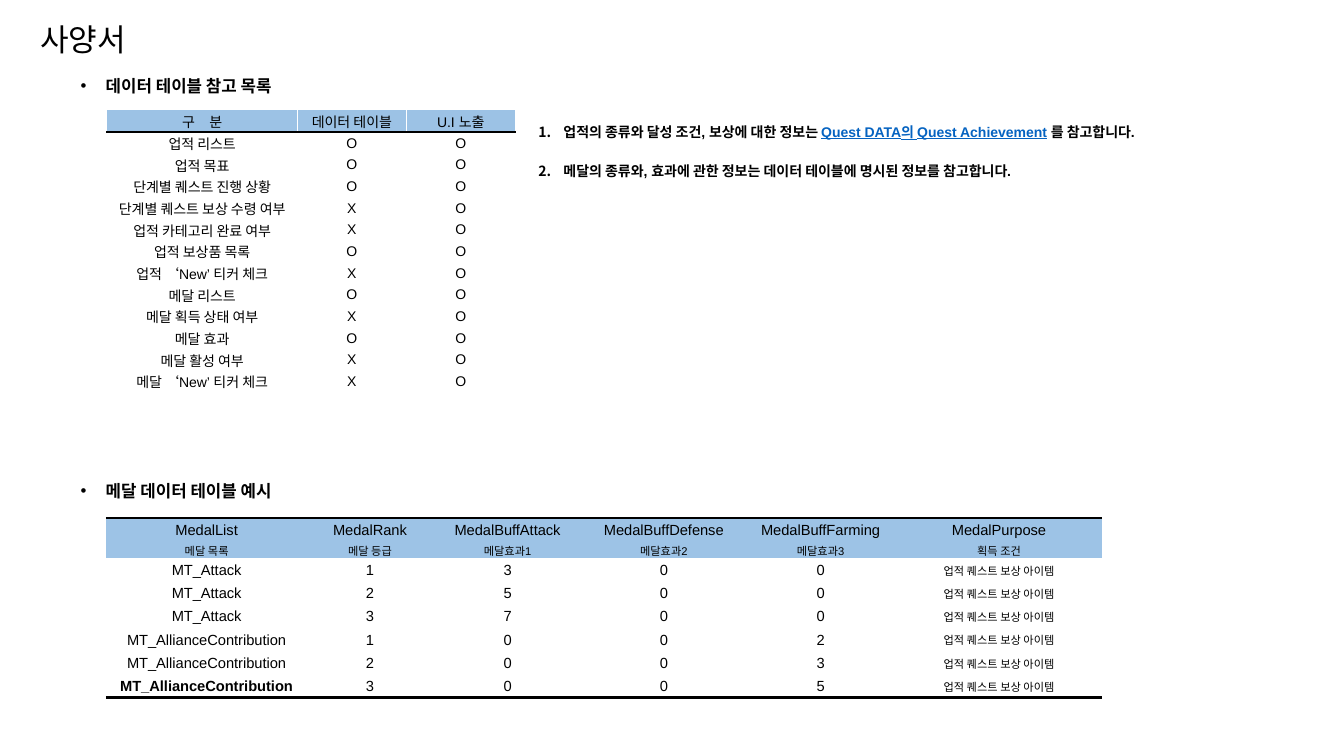
from lxml import etree
from pptx import Presentation
from pptx.dml.color import RGBColor
from pptx.enum.text import MSO_ANCHOR, PP_ALIGN
from pptx.oxml.ns import qn
from pptx.util import Inches, Pt

CENTER = PP_ALIGN.CENTER
MIDDLE = MSO_ANCHOR.MIDDLE
BLACK = RGBColor(0x00, 0x00, 0x00)
WHITE = RGBColor(0xFF, 0xFF, 0xFF)
LINK = RGBColor(0x05, 0x63, 0xC1)
SPEC_HEAD = RGBColor(0x9C, 0xC2, 0xE5)
MEDAL_HEAD = RGBColor(0x9D, 0xC3, 0xE6)

prs = Presentation()
prs.slide_width, prs.slide_height = Inches(13.33), Inches(7.5)
s = prs.slides.add_slide(prs.slide_layouts[6])


def add_run(p, text, **fmt):
    r = p.add_run()
    r.text = text
    r.font.color.rgb = fmt.pop("color", BLACK)
    for name, value in {"name": "Arial", "bold": False, **fmt}.items():
        setattr(r.font, name, value)
    return r


def add_grid(left, top, cols, rows, fills, edges):
    shape = s.shapes.add_table(len(rows), len(cols), Inches(left), Inches(top),
                               Inches(sum(cols)), Inches(sum(rows)))
    tbl = shape.table
    tbl.first_row = tbl.horz_banding = False
    for col, width in zip(tbl.columns, cols):
        col.width = Inches(width)
    for i, (row, height) in enumerate(zip(tbl.rows, rows)):
        row.height = Inches(height)
        for cell in row.cells:
            cell.margin_left = cell.margin_right = cell.margin_top = Inches(0.01)
            cell.margin_bottom = 0
            cell.vertical_anchor = MIDDLE
            cell.fill.solid()
            cell.fill.fore_color.rgb = fills[i]
            cell.text_frame.paragraphs[0].alignment = CENTER
            tcPr = cell._tc.get_or_add_tcPr()
            for k, side in enumerate("LRTB"):
                ln = etree.Element(qn("a:ln" + side))
                tcPr.insert(k, ln)
                color, width = edges(i, side)
                if color is None:
                    etree.SubElement(ln, qn("a:noFill"))
                else:
                    ln.set("w", str(Pt(width)))
                    solid = etree.SubElement(ln, qn("a:solidFill"))
                    etree.SubElement(solid, qn("a:srgbClr"), val=str(color))
    return tbl


BULLET = ("a:buChar", {"char": "•"})
NUMBER = ("a:buAutoNum", {"type": "arabicPeriod"})
NOTES = [
    [("업적의 종류와 달성 조건, 보상에 대한 정보는 ", {}),
     ("Quest DATA의 Quest Achievement", {"color": LINK, "underline": True}),
     (" 를 참고합니다.", {})],
    [("메달의 종류와, 효과에 관한 정보는 데이터 테이블에 명시된 정보를 참고합니다.", {})],
]
TEXTS = [
    (0.3, 0.01, 6.49, 0.64, 22.2, False, 1.4, None, [[("사양서", {})]]),
    (0.7, 0.6, 4.91, 0.64, 12, True, 1.5, BULLET, [[("데이터 테이블 참고 목록", {})]]),
    (0.7, 4.62, 4.91, 0.64, 12, True, 1.5, BULLET, [[("메달 데이터 테이블 예시", {})]]),
    (5.24, 1.09, 8.09, 2.36, 10, True, 1.5, NUMBER, NOTES),
]
for left, top, width, height, size, bold, spacing, mark, paragraphs in TEXTS:
    tf = s.shapes.add_textbox(Inches(left), Inches(top), Inches(width), Inches(height)).text_frame
    tf.word_wrap = True
    for i, runs in enumerate(paragraphs):
        p = tf.add_paragraph() if i else tf.paragraphs[0]
        p.line_spacing = spacing
        if i:
            p.space_before = Pt(10)
        if mark:
            pPr = p._p.get_or_add_pPr()
            pPr.set("marL", str(Inches(0.25)))
            pPr.set("indent", str(-Inches(0.25)))
            color = etree.SubElement(pPr, qn("a:buClr"))
            etree.SubElement(color, qn("a:srgbClr"), val=str(BLACK))
            etree.SubElement(pPr, qn("a:buFont"), typeface="Arial")
            etree.SubElement(pPr, qn(mark[0]), mark[1])
        for text, fmt in runs:
            add_run(p, text, size=Pt(size), bold=bold, **fmt)

SPEC = [
    ("구 분", "데이터 테이블", "U.I 노출"),
    ("업적 리스트", "O", "O"),
    ("업적 목표", "O", "O"),
    ("단계별 퀘스트 진행 상황", "O", "O"),
    ("단계별 퀘스트 보상 수령 여부", "X", "O"),
    ("업적 카테고리 완료 여부", "X", "O"),
    ("업적 보상품 목록", "O", "O"),
    ("업적 ‘New’ 티커 체크", "X", "O"),
    ("메달 리스트", "O", "O"),
    ("메달 획득 상태 여부", "X", "O"),
    ("메달 효과", "O", "O"),
    ("메달 활성 여부", "X", "O"),
    ("메달 ‘New’ 티커 체크", "X", "O"),
]
tbl = add_grid(1.06, 1.09, [1.89, 1.08, 1.08], [0.22] + [2.58 / 12] * 12,
               [SPEC_HEAD] + [WHITE] * 12,
               lambda i, side: (BLACK if (i, side) in ((0, "B"), (1, "T")) else WHITE, 1))
for i, row in enumerate(SPEC):
    for j, text in enumerate(row):
        r = add_run(tbl.cell(i, j).text_frame.paragraphs[0], text, size=Pt(10))
        if i == j == 0:
            r._r.get_or_add_rPr().set("spc", "400")

REWARD = "업적 퀘스트 보상 아이템"
MEDALS = [
    ("MedalList", "MedalRank", "MedalBuffAttack", "MedalBuffDefense", "MedalBuffFarming", "MedalPurpose"),
    ("메달 목록", "메달 등급", "메달효과1", "메달효과2", "메달효과3", "획득 조건"),
    ("MT_Attack", "1", "3", "0", "0", REWARD),
    ("MT_Attack", "2", "5", "0", "0", REWARD),
    ("MT_Attack", "3", "7", "0", "0", REWARD),
    ("MT_AllianceContribution", "1", "0", "0", "2", REWARD),
    ("MT_AllianceContribution", "2", "0", "0", "3", REWARD),
    ("MT_AllianceContribution", "3", "0", "0", "5", REWARD),
]
LAST = len(MEDALS) - 1
tbl = add_grid(1.05, 5.14, [2, 1.24, 1.49, 1.61, 1.5, 2.04], [0.23, 0.17] + [0.23] * 6,
               [MEDAL_HEAD] * 2 + [WHITE] * 6,
               lambda i, side: (BLACK if (i, side) in ((0, "T"), (LAST, "B")) else None, 2))
for i, row in enumerate(MEDALS):
    for j, text in enumerate(row):
        small = i == 1 or text == REWARD
        add_run(tbl.cell(i, j).text_frame.paragraphs[0], text,
                size=Pt(8 if small else 10.5), bold=(i, j) == (LAST, 0))

prs.save("out.pptx")
